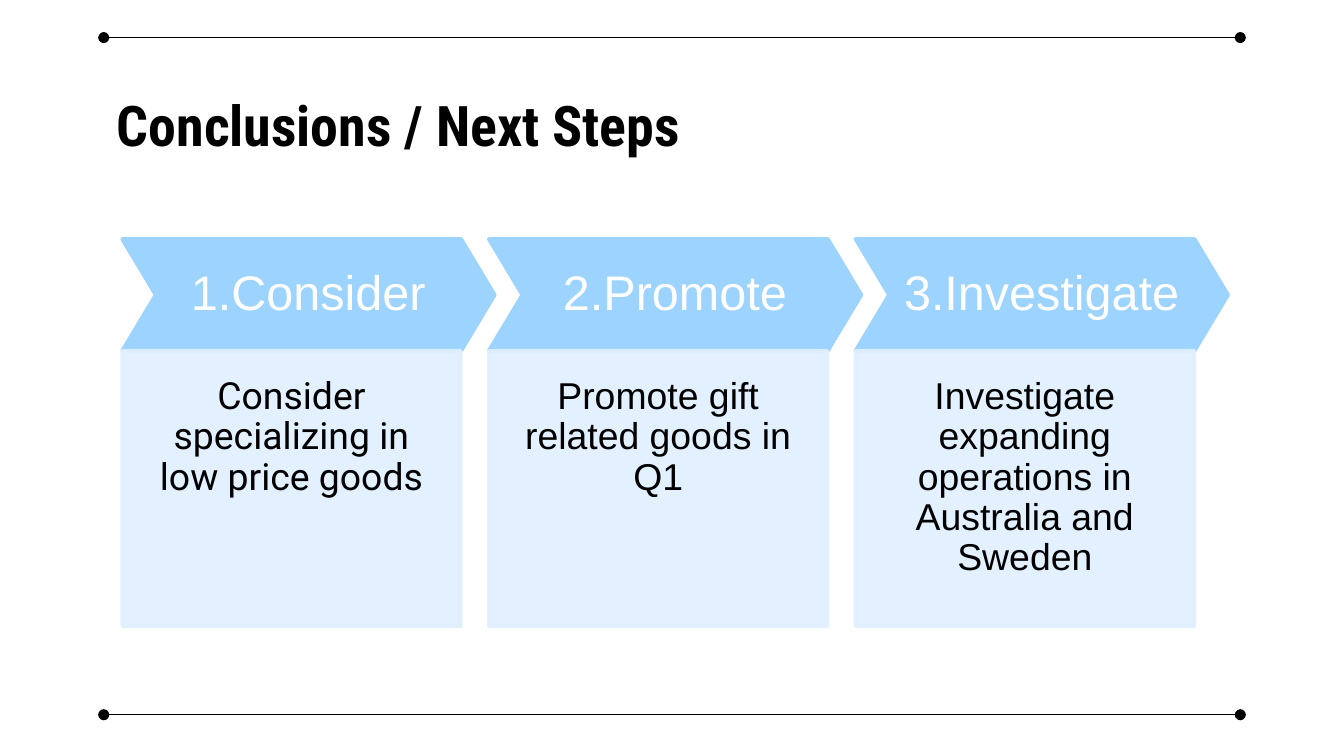
from lxml import etree
from pptx import Presentation
from pptx.dml.color import RGBColor
from pptx.enum.shapes import MSO_CONNECTOR, MSO_SHAPE
from pptx.enum.text import MSO_ANCHOR, PP_ALIGN
from pptx.oxml.ns import qn
from pptx.util import Cm, Pt

BLACK = RGBColor(0x00, 0x00, 0x00)
WHITE = RGBColor(0xFF, 0xFF, 0xFF)
SKY = RGBColor(0x9D, 0xD3, 0xFF)
PALE = RGBColor(0xDF, 0xEF, 0xFF)

LEFT, RIGHT = Cm(1.96), Cm(23.44)


def write(box, text, font, frame, paragraph):
    """Fill a box with one paragraph, formatted from dicts of values."""
    text_frame = box.text_frame
    para = text_frame.paragraphs[0]
    span = para.add_run()
    span.text = text
    color = font["color"]
    plain_font = {name: value for name, value in font.items() if name != "color"}
    for target, values in (
        (text_frame, frame), (para, paragraph), (span.font, plain_font),
    ):
        for name, value in values.items():
            setattr(target, name, value)
    span.font.color.rgb = color


def add_panel(group, kind, place, color, opacity):
    """Add a shape whose fill and outline share one colour and opacity."""
    panel = group.shapes.add_shape(kind, *place)
    panel.shadow.inherit = False
    panel.fill.solid()
    panel.fill.fore_color.rgb = color
    panel.line.fill.solid()
    panel.line.color.rgb = color
    panel.line.width = Pt(2)
    if opacity < 100:
        for tint in panel.fill._xPr.iter(qn("a:srgbClr")):
            etree.SubElement(tint, qn("a:alpha"), val=str(opacity * 1000))
    return panel


deck = Presentation()
deck.slide_width, deck.slide_height = Cm(25.4), Cm(14.29)
page = deck.slides.add_slide(deck.slide_layouts[6])

# Formats
even_margins = {
    "word_wrap": True, "vertical_anchor": MSO_ANCHOR.MIDDLE,
    "margin_left": Cm(0.25), "margin_right": Cm(0.25),
    "margin_top": Cm(0.25), "margin_bottom": Cm(0.25),
}
detail_margins = {
    "word_wrap": True, "vertical_anchor": MSO_ANCHOR.TOP,
    "margin_left": Cm(0.5), "margin_right": Cm(0.5),
    "margin_top": Cm(0.5), "margin_bottom": Cm(1.02),
}
centered = {"alignment": PP_ALIGN.CENTER, "line_spacing": 0.9}
title_font = {"name": "Roboto Condensed", "size": Pt(30), "bold": True, "color": BLACK}
step_font = {"name": "Arial", "size": Pt(26), "color": WHITE}

# Title
title = page.shapes.add_textbox(LEFT, Cm(1.5), RIGHT - LEFT, Cm(1.68))
write(title, "Conclusions / Next Steps", title_font, even_margins,
      {"alignment": PP_ALIGN.LEFT})

# Steps: a chevron heading above a detail panel
steps = [
    ("1.Consider", "Consider specializing in low price goods", "Roboto"),
    ("2.Promote", "Promote gift related goods in Q1", "Arial"),
    ("3.Investigate", "Investigate expanding operations in Australia and Sweden",
     "Arial"),
]
group = page.shapes.add_group_shape()
for index, (heading, detail, typeface) in enumerate(steps):
    left = Cm(2.31) + index * Cm(6.93)

    chevron = add_panel(group, MSO_SHAPE.CHEVRON,
                        (left, Cm(4.52), Cm(7.04), Cm(2.11)), SKY, 100)
    chevron.adjustments[0] = 0.3
    write(chevron, heading, step_font, even_margins, centered)

    panel = add_panel(group, MSO_SHAPE.RECTANGLE,
                      (left, Cm(6.63), Cm(6.4), Cm(5.21)), PALE, 90)
    detail_font = {"name": typeface, "size": Pt(20), "color": BLACK}
    write(panel, detail, detail_font, detail_margins, centered)

# Rules with round ends at top and bottom
for height in (Cm(0.71), Cm(13.51)):
    rule = page.shapes.add_connector(MSO_CONNECTOR.STRAIGHT, LEFT, height, RIGHT, height)
    rule.line.color.rgb = BLACK
    rule.line.width = Pt(0.75)
    outline = rule.line._get_or_add_ln()
    for end in ("a:headEnd", "a:tailEnd"):
        etree.SubElement(outline, qn(end), type="oval", w="med", len="med")
    etree.SubElement(outline.getparent(), qn("a:effectLst"))

deck.save("out.pptx")
